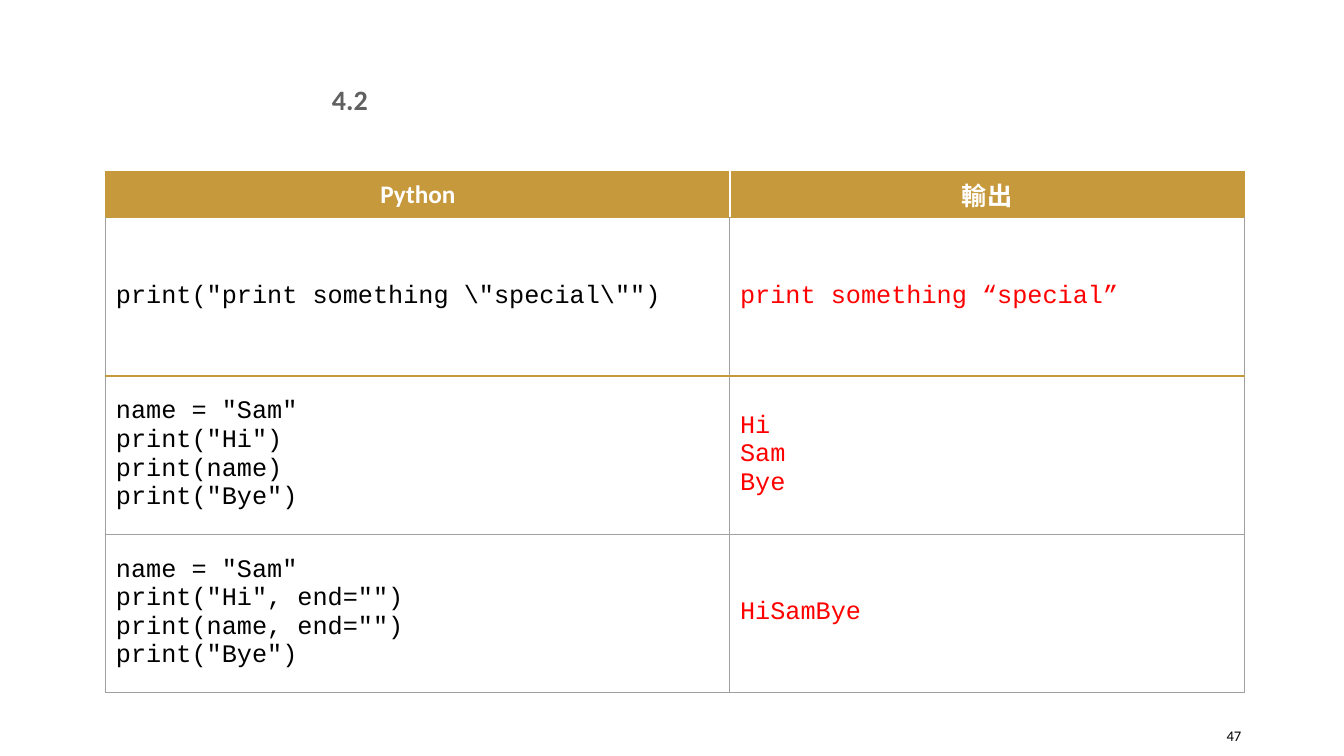
from lxml.etree import SubElement
from pptx import Presentation
from pptx.dml.color import RGBColor
from pptx.enum.text import MSO_ANCHOR as Anchor, PP_ALIGN as Align
from pptx.oxml.ns import qn
from pptx.util import Inches, Pt

COLORS = {"gold": "C6993D", "grid": "A0A0A0", "white": "FFFFFF",
          "title": "606060", "code": "000000", "output": "FF0000"}
BODY, CODE, CJK = "Calibri", "Courier New", "Noto Sans CJK TC"

HEADINGS = [("Python", BODY), ("輸出", CJK)]
EXAMPLES = [
    (r'print("print something \"special\"")', "print something “special”"),
    ('name = "Sam"\nprint("Hi")\nprint(name)\nprint("Bye")', "Hi\nSam\nBye"),
    ('name = "Sam"\nprint("Hi", end="")\nprint(name, end="")\nprint("Bye")',
     "HiSamBye"),
]


class SlideBuilder:
    def __init__(self, prs):
        self.s = prs.slides.add_slide(prs.slide_layouts[6])

    def set_lines(self, tf, text, size, font, color, bold=False,
                  align=Align.LEFT):
        """Fill a text frame with one paragraph per line of text."""
        for i, line in enumerate(text.split("\n")):
            p = tf.add_paragraph() if i else tf.paragraphs[0]
            p.text = line
            p.alignment = align
            p.font.size = Pt(size)
            p.font.bold = bold
            p.font.name = font
            p.font.color.rgb = RGBColor.from_string(COLORS[color])
            if font == CJK:
                SubElement(p.font._element, qn("a:ea"), typeface=font)

    def text(self, left, top, width, height, text, size, color, **style):
        tf = self.s.shapes.add_textbox(
            Inches(left), Inches(top), Inches(width), Inches(height)).text_frame
        tf.word_wrap = True
        tf.vertical_anchor = Anchor.MIDDLE
        self.set_lines(tf, text, size, BODY, color, **style)

    def borders(self, cell, **sides):
        """Draw cell edges; each side is a (colour name, points) pair."""
        tcPr = cell._tc.get_or_add_tcPr()
        for i, side in enumerate("LRTB"):
            color, width = sides[side]
            ln = tcPr.makeelement(qn(f"a:ln{side}"), {"w": str(Pt(width))})
            fill = SubElement(ln, qn("a:solidFill"))
            SubElement(fill, qn("a:srgbClr"), val=COLORS[color])
            tcPr.insert(i, ln)

    def table(self, left, top, widths, heights):
        table = self.s.shapes.add_table(
            len(heights), len(widths), Inches(left), Inches(top),
            Inches(sum(widths)), Inches(sum(heights))).table
        for column, width in zip(table.columns, widths):
            column.width = Inches(width)
        for row, height in zip(table.rows, heights):
            row.height = Inches(height)
        return table

    def cell(self, cell, text, fill, **style):
        cell.vertical_anchor = Anchor.MIDDLE
        cell.fill.solid()
        cell.fill.fore_color.rgb = RGBColor.from_string(COLORS[fill])
        self.set_lines(cell.text_frame, text, 18, **style)


def main():
    prs = Presentation()
    prs.slide_width, prs.slide_height = Inches(13.33), Inches(7.5)
    slide = SlideBuilder(prs)
    slide.text(11.57, 7.1, 0.84, 0.4, "47", 10.5, "code", align=Align.RIGHT)
    slide.text(3, 0.83, 0.94, 0.31, "4.2", 20, "title", bold=True,
               align=Align.CENTER)

    table = slide.table(1.05, 1.7, [6.19, 5.1], [0.46] + [1.57] * 3)
    gold, grid, white = ("gold", 1), ("grid", 0.75), ("white", 1)
    for c, (heading, font) in enumerate(HEADINGS):
        cell = table.cell(0, c)
        slide.cell(cell, heading, "gold", font=font, color="white", bold=True,
                   align=Align.CENTER)
        slide.borders(cell, L=white if c else gold, R=gold if c else white,
                      T=gold, B=gold)
    for r, example in enumerate(EXAMPLES, 1):
        for c, (text, color) in enumerate(zip(example, ("code", "output"))):
            cell = table.cell(r, c)
            slide.cell(cell, text, "white", font=CODE, color=color)
            slide.borders(cell, L=grid, R=grid, T=gold if r < 3 else grid,
                          B=gold if r == 1 else grid)
    prs.save("out.pptx")


if __name__ == "__main__":
    main()
